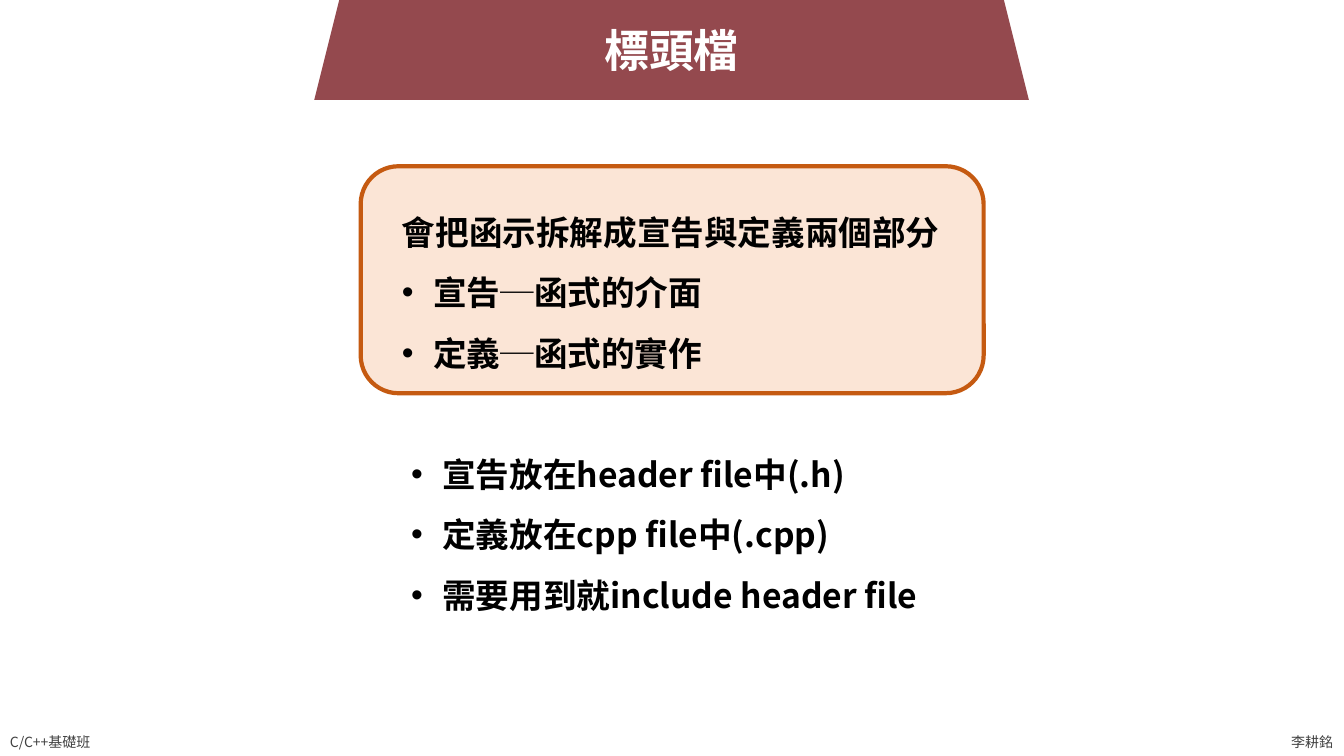
from lxml.etree import SubElement
from pptx import Presentation
from pptx.dml.color import RGBColor
from pptx.enum.shapes import MSO_SHAPE
from pptx.enum.text import MSO_ANCHOR, MSO_AUTO_SIZE, PP_ALIGN
from pptx.oxml.ns import qn
from pptx.util import Cm, Pt

FONT = "Noto Sans CJK TC"
WIDE, HIGH = 33.87, 19.05
INDENT = Cm(0.79)


def paint(color, code):
    color.rgb = RGBColor.from_string(code)


def add_panel(slide, kind, box, fill, edge=None):
    panel = slide.shapes.add_shape(kind, *map(Cm, box))
    panel.shadow.inherit = False
    panel.fill.solid()
    paint(panel.fill.fore_color, fill)
    if edge:
        paint(panel.line.color, edge)
        panel.line.width = Pt(3)
    else:
        panel.line.fill.background()


def add_bullet(para):
    props = para._p.get_or_add_pPr()
    props.set("marL", str(INDENT))
    props.set("indent", str(-INDENT))
    SubElement(props, qn("a:buFont")).set("typeface", "Arial")
    SubElement(props, qn("a:buChar")).set("char", "•")


def add_text(slide, box, lines, size, code, bold=False, wrap=False):
    """Place one paragraph per line and return the text frame."""
    frame = slide.shapes.add_textbox(*map(Cm, box)).text_frame
    frame.word_wrap = wrap
    frame.auto_size = MSO_AUTO_SIZE.SHAPE_TO_FIT_TEXT
    frame.text = "\n".join(lines)
    for para in frame.paragraphs:
        for run in para.runs:
            font = run.font
            font.size, font.bold, font.name = Pt(size), bold, FONT
            paint(font.color, code)
            SubElement(run._r.get_or_add_rPr(), qn("a:ea")).set("typeface", FONT)
    return frame


def add_list(slide, box, lines, heads=0):
    """Bullet every line after the first few, which are heads."""
    frame = add_text(slide, box, lines, 24, "000000", bold=True, wrap=True)
    for para in frame.paragraphs[heads:]:
        add_bullet(para)
    for para in frame.paragraphs:
        para.line_spacing = 1.5


def add_title(slide, box, text):
    left, top, width, height = box
    add_panel(slide, MSO_SHAPE.TRAPEZOID, box, "94494E")
    label = (left + (width - 3.94) / 2, top + 1.02, 3.94, 1.63)
    frame = add_text(slide, label, [text], 32, "FFFFFF", bold=True)
    frame.paragraphs[0].alignment = PP_ALIGN.CENTER


def add_card(slide, box, lines):
    left, top, width, height = box
    add_panel(slide, MSO_SHAPE.ROUNDED_RECTANGLE, box, "FBE5D6", "C55A11")
    inner = (left + 0.79, top + 0.51, width - 1.57, height - 1.04)
    add_list(slide, inner, lines, heads=1)


def add_footer(slide, box, course, author):
    left, top, width, height = box
    add_text(slide, (left, top, 2.72, height), [course], 10, "404040")
    end = (left + width - 1.58, top, 1.58, height)
    frame = add_text(slide, end, [author], 10, "404040")
    frame.vertical_anchor = MSO_ANCHOR.MIDDLE


def main():
    deck = Presentation()
    deck.slide_width, deck.slide_height = Cm(WIDE), Cm(HIGH)
    slide = deck.slides.add_slide(deck.slide_layouts[6])
    add_card(slide, (9.09, 4.19, 15.7, 5.72), [
        "會把函示拆解成宣告與定義兩個部分",
        "宣告─函式的介面",
        "定義─函式的實作",
    ])
    add_footer(slide, (0, HIGH - 0.69, WIDE, 0.69), "C/C++基礎班", "李耕銘")
    add_title(slide, (7.92, -0.58, 18.01, 3.1), "標頭檔")
    add_list(slide, (10.11, 10.8, 13.64, 4.67), [
        "宣告放在header file中(.h)",
        "定義放在cpp file中(.cpp)",
        "需要用到就include header file",
    ])
    deck.save("out.pptx")


if __name__ == "__main__":
    main()
